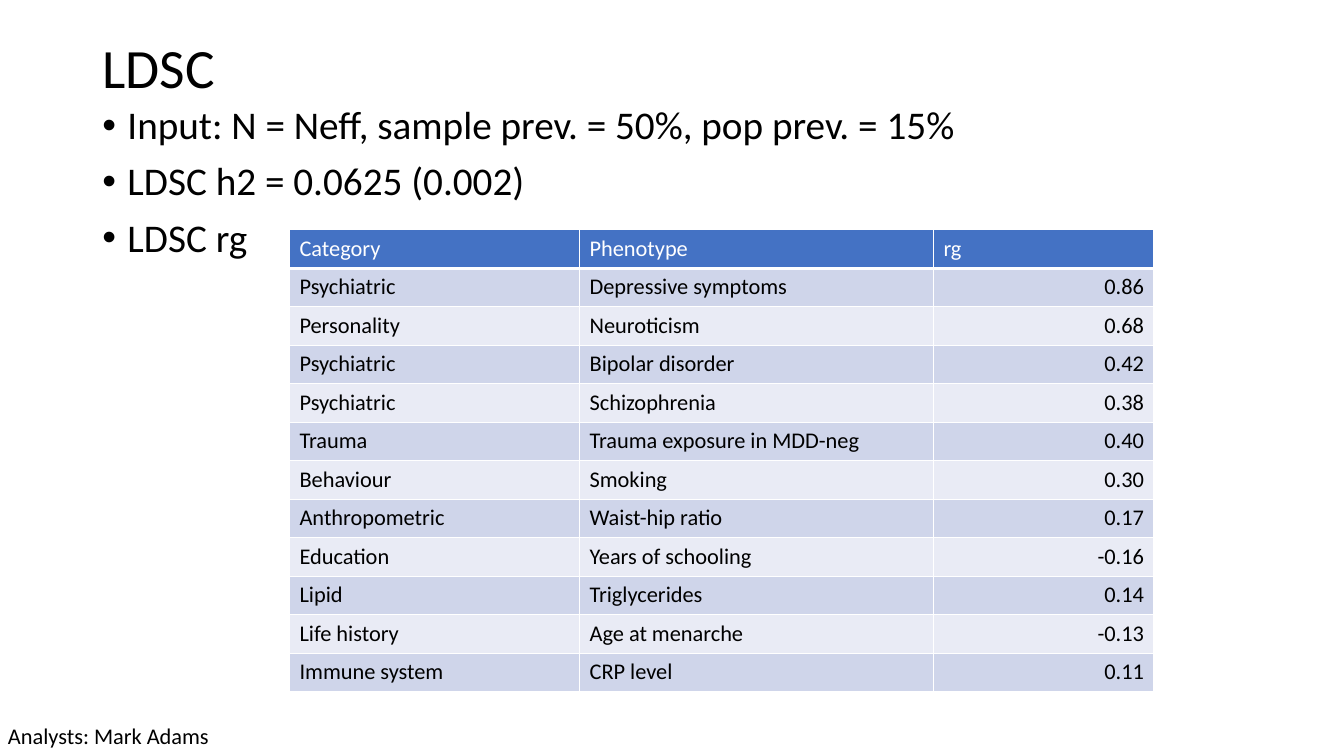
from lxml import etree
from pptx import Presentation
from pptx import util as u
from pptx.dml import color
from pptx.enum import text
from pptx.oxml import ns

CORRELATIONS = [
    ("Category", "Phenotype", "rg"),
    ("Psychiatric", "Depressive symptoms", "0.86"),
    ("Personality", "Neuroticism", "0.68"),
    ("Psychiatric", "Bipolar disorder", "0.42"),
    ("Psychiatric", "Schizophrenia", "0.38"),
    ("Trauma", "Trauma exposure in MDD-neg", "0.40"),
    ("Behaviour", "Smoking", "0.30"),
    ("Anthropometric", "Waist-hip ratio", "0.17"),
    ("Education", "Years of schooling", "-0.16"),
    ("Lipid", "Triglycerides", "0.14"),
    ("Life history", "Age at menarche", "-0.13"),
    ("Immune system", "CRP level", "0.11"),
]


def rgb(value):
    return color.RGBColor.from_string(value)


def add_xml(parent, tag, **attributes):
    return etree.SubElement(parent, ns.qn(tag), attributes)


class SlideBuilder:
    font = "Calibri"
    ink = "000000"
    white = "FFFFFF"
    header_fill = "4472C4"
    band_fills = ("E9EBF5", "CFD5EA")

    def __init__(self, slide):
        self.slide = slide

    def style(self, paragraph, size, ink):
        font = paragraph.font
        font.name, font.size, font.bold = self.font, u.Pt(size), False
        font.color.rgb = rgb(ink)

    def text_box(self, box, lines, size, wrap=True, anchor=text.MSO_ANCHOR.TOP):
        shape = self.slide.shapes.add_textbox(*map(u.Pt, box))
        frame = shape.text_frame
        frame.word_wrap = wrap
        frame.vertical_anchor = anchor
        frame.text = "\n".join(lines)
        for paragraph in frame.paragraphs:
            self.style(paragraph, size, self.ink)
        return frame

    def title(self, box, line):
        frame = self.text_box(box, [line], 39.6, anchor=text.MSO_ANCHOR.MIDDLE)
        frame.paragraphs[0].line_spacing = 0.9

    def bullets(self, box, lines):
        for paragraph in self.text_box(box, lines, 28).paragraphs:
            paragraph.line_spacing = 0.9
            paragraph.space_before = u.Pt(10)
            properties = paragraph._p.get_or_add_pPr()
            properties.set("marL", str(u.Pt(18)))
            properties.set("indent", str(u.Pt(-18)))
            bullet_font = etree.Element(ns.qn("a:buFont"), typeface="Arial")
            bullet = etree.Element(ns.qn("a:buChar"), char="•")
            position = list(properties).index(properties.find(ns.qn("a:defRPr")))
            properties[position:position] = [bullet_font, bullet]

    def borders(self, cell, bottom):
        properties = cell._tc.get_or_add_tcPr()
        for side, width in (("L", 1), ("R", 1), ("T", 1), ("B", bottom)):
            line = add_xml(properties, f"a:ln{side}", w=str(u.Pt(width)))
            add_xml(add_xml(line, "a:solidFill"), "a:srgbClr", val=self.white)

    def table(self, left, top, widths, row_height, rows):
        frame = self.slide.shapes.add_table(
            len(rows), len(widths), u.Pt(left), u.Pt(top),
            u.Pt(sum(widths)), u.Pt(row_height * len(rows)))
        table = frame.table
        for column, width in zip(table.columns, widths):
            column.width = u.Pt(width)
        for row_index, values in enumerate(rows):
            table.rows[row_index].height = u.Pt(row_height)
            header = row_index == 0
            for column_index, value in enumerate(values):
                cell = table.cell(row_index, column_index)
                cell.text = value
                paragraph = cell.text_frame.paragraphs[0]
                self.style(paragraph, 16, self.white if header else self.ink)
                if not header and column_index == len(widths) - 1:
                    paragraph.alignment = text.PP_ALIGN.RIGHT
                self.borders(cell, bottom=3 if header else 1)
                cell.fill.solid()
                fill = self.header_fill if header else self.band_fills[row_index % 2]
                cell.fill.fore_color.rgb = rgb(fill)


def main():
    presentation = Presentation()
    presentation.slide_width = u.Pt(960)
    presentation.slide_height = u.Pt(540)
    builder = SlideBuilder(presentation.slides.add_slide(presentation.slide_layouts[6]))
    builder.title((66, 28.8, 828, 43.2), "LDSC")
    builder.bullets((66, 72, 828, 342.7), [
        "Input: N = Neff, sample prev. = 50%, pop prev. = 15%",
        "LDSC h2 = 0.0625 (0.002)",
        "LDSC rg",
    ])
    builder.table(206.8, 164.2, (207.2, 252.8, 157.6), 27.5, CORRELATIONS)
    builder.text_box((-1.4, 512.6, 159.8, 26.6), ["Analysts: Mark Adams"], 16, wrap=False)
    presentation.save("out.pptx")


if __name__ == "__main__":
    main()
